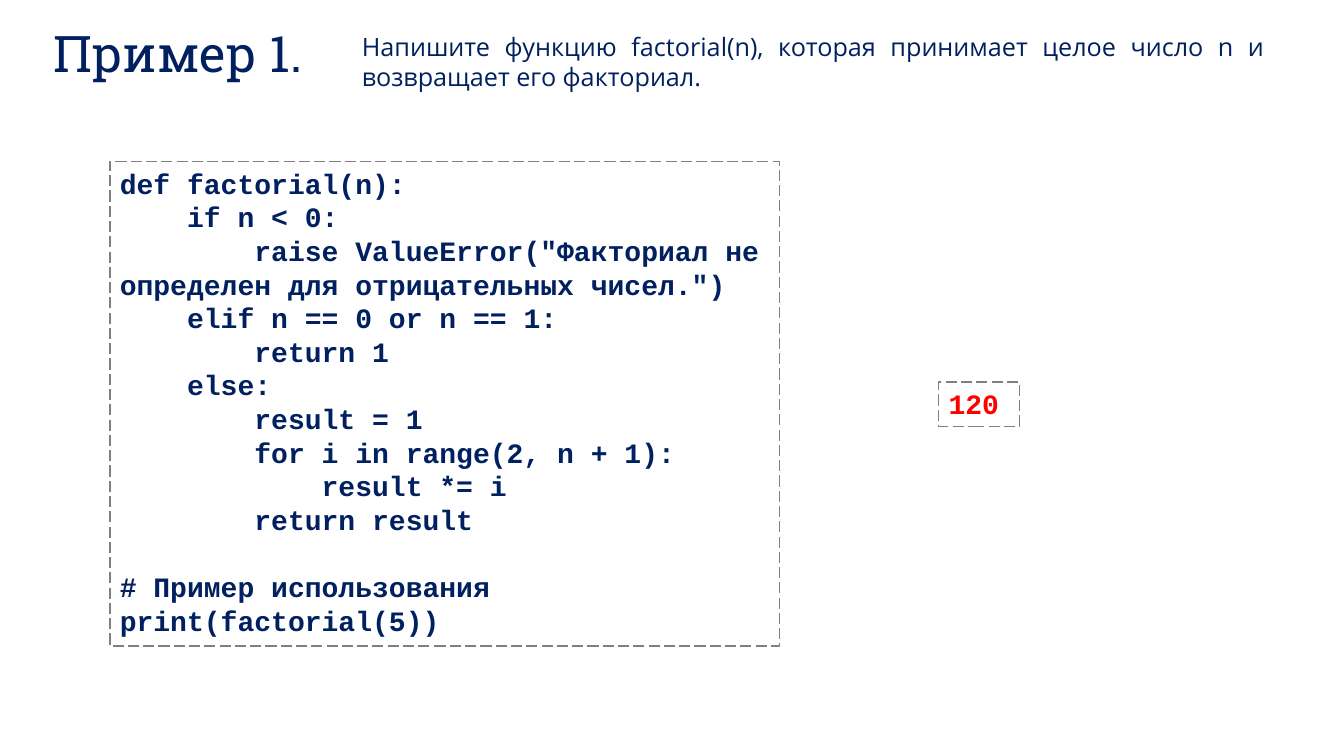
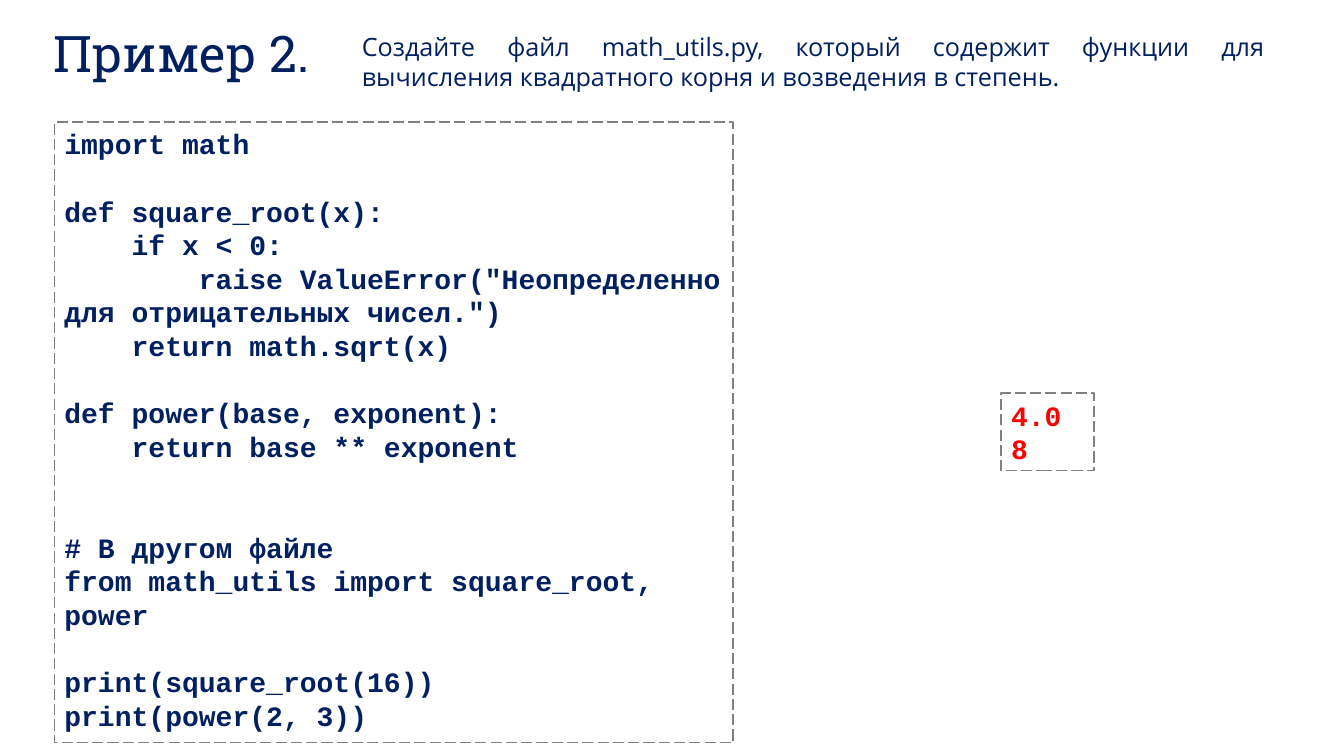
from lxml.etree import SubElement
from pptx import Presentation
from pptx.dml.color import RGBColor
from pptx.enum.dml import MSO_LINE
from pptx.enum.shapes import MSO_SHAPE
from pptx.enum.text import MSO_ANCHOR, MSO_AUTO_SIZE, PP_ALIGN
from pptx.oxml.ns import qn
from pptx.util import Emu, Pt

PX = 9144  # 100 px to the inch
COLORS = {"navy": "002060", "red": "FF0000", "gray": "808080"}
HEADING_FONT, BODY_FONT, CODE_FONT = "Roboto Slab", "Open Sans", "Courier New"
CODE_SIZE = 20

FACTORIAL_CODE = '''def factorial(n):
    if n < 0:
        raise ValueError("Факториал не определен для отрицательных чисел.")
    elif n == 0 or n == 1:
        return 1
    else:
        result = 1
        for i in range(2, n + 1):
            result *= i
        return result

# Пример использования
print(factorial(5))'''

MATH_UTILS_CODE = '''import math

def square_root(x):
    if x < 0:
        raise ValueError("Неопределенно для отрицательных чисел.")
    return math.sqrt(x)

def power(base, exponent):
    return base ** exponent


# В другом файле
from math_utils import square_root, power

print(square_root(16))
print(power(2, 3))'''


def px(*lengths):
    return [Emu(length * PX) for length in lengths]


def rgb(name):
    return RGBColor.from_string(COLORS[name])


class ExampleDeck:
    """Holds the shared style and the slide being built."""

    def __init__(self):
        self.deck = Presentation()
        self.deck.slide_width, self.deck.slide_height = px(1333, 750)
        self.page = None

    def add_span(self, para, text, font, size, color="navy", bold=False):
        span = para.add_run()
        span.text = text
        span.font.name = font
        span.font.size = Pt(size)
        span.font.bold = bold
        span.font.color.rgb = rgb(color)

    def add_page(self, title):
        self.page = self.deck.slides.add_slide(self.deck.slide_layouts[5])
        box = self.page.shapes.title
        box.left, box.top, box.width, box.height = px(43, 24, 1290, 88)
        frame = box.text_frame
        frame.vertical_anchor = MSO_ANCHOR.TOP
        frame.auto_size = MSO_AUTO_SIZE.NONE
        para = frame.paragraphs[0]
        para.alignment = PP_ALIGN.LEFT
        para.line_spacing = 0.9
        self.add_span(para, title, HEADING_FONT, 36)

    def add_task(self, text):
        frame = self.page.shapes.add_textbox(*px(349, 26, 915, 71)).text_frame
        frame.word_wrap = True
        frame.auto_size = MSO_AUTO_SIZE.SHAPE_TO_FIT_TEXT
        para = frame.paragraphs[0]
        para.alignment = PP_ALIGN.JUSTIFY
        self.add_span(para, text, BODY_FONT, 18)

    def add_listing(self, text, place, color="navy"):
        """Add a dashed frame with one paragraph for each line of text."""
        box = self.page.shapes.add_shape(MSO_SHAPE.RECTANGLE, *px(*place))
        box.shadow.inherit = False
        box.fill.background()
        box.line.color.rgb = rgb("gray")
        box.line.width = Pt(1)
        box.line.dash_style = MSO_LINE.LONG_DASH
        frame = box.text_frame
        frame.word_wrap = True
        frame.auto_size = MSO_AUTO_SIZE.SHAPE_TO_FIT_TEXT
        frame.vertical_anchor = MSO_ANCHOR.TOP
        for index, line in enumerate(text.split("\n")):
            para = frame.add_paragraph() if index else frame.paragraphs[0]
            para.alignment = PP_ALIGN.LEFT
            if line:
                self.add_span(para, line, CODE_FONT, CODE_SIZE, color, bold=True)
            else:
                self.size_blank_line(para)

    def size_blank_line(self, para):
        """Give a blank code line the height of the other lines."""
        end = SubElement(para._p, qn("a:endParaRPr"), sz=str(CODE_SIZE * 100), b="1")
        SubElement(end, qn("a:latin"), typeface=CODE_FONT)


def main():
    examples = ExampleDeck()

    examples.add_page("Пример 1.")
    examples.add_task("Напишите функцию factorial(n), которая принимает целое "
                      "число n и возвращает его факториал.")
    examples.add_listing(FACTORIAL_CODE, (109, 160, 664, 481))
    examples.add_listing("120", (931, 379, 80, 44), "red")

    examples.add_page("Пример 2.")
    examples.add_task("Создайте файл math_utils.py, который содержит функции для "
                      "вычисления квадратного корня и возведения в степень.")
    examples.add_listing(MATH_UTILS_CODE, (54, 121, 673, 616))
    examples.add_listing("4.0\n8", (993, 390, 92, 77), "red")

    examples.deck.save("out.pptx")


if __name__ == "__main__":
    main()
